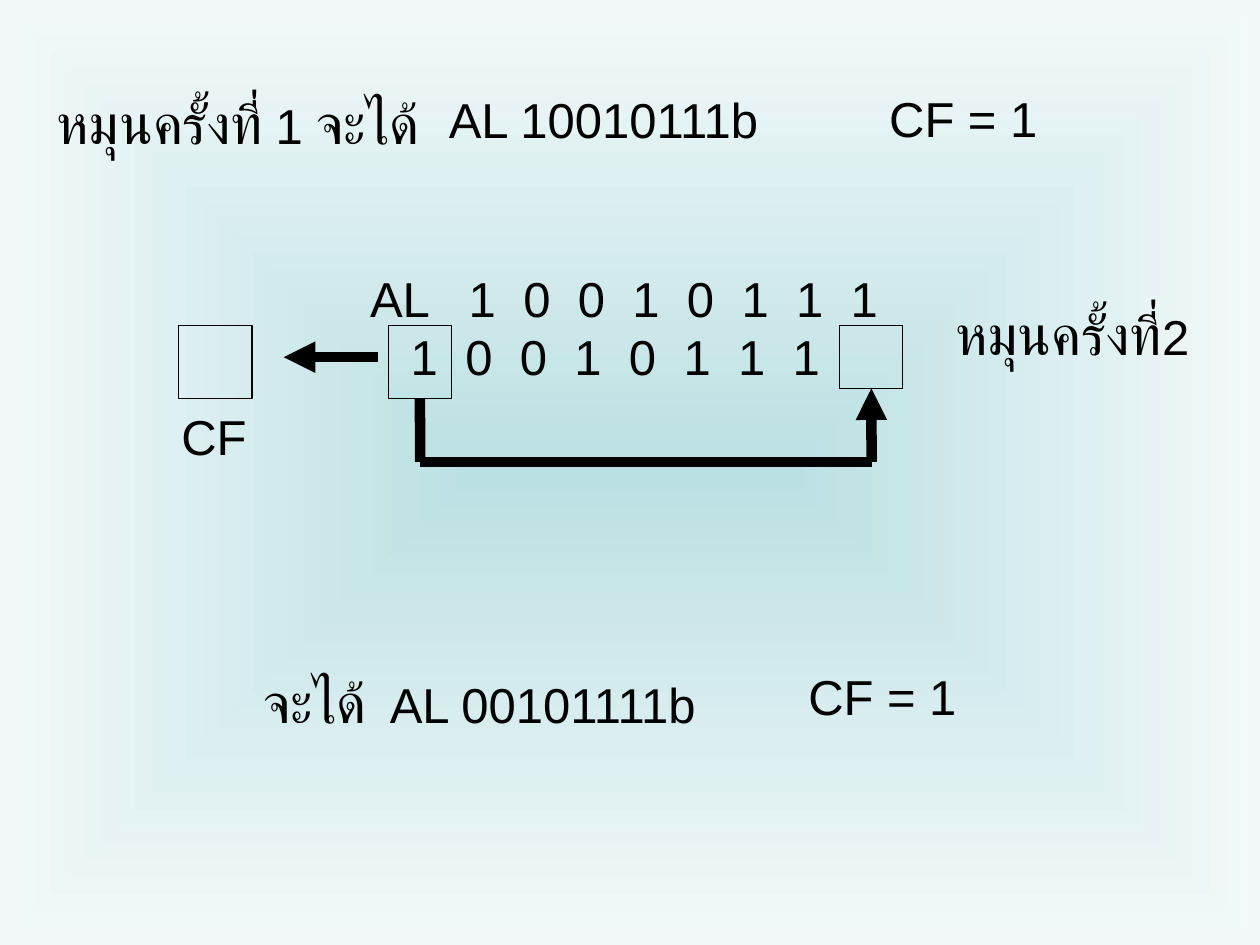
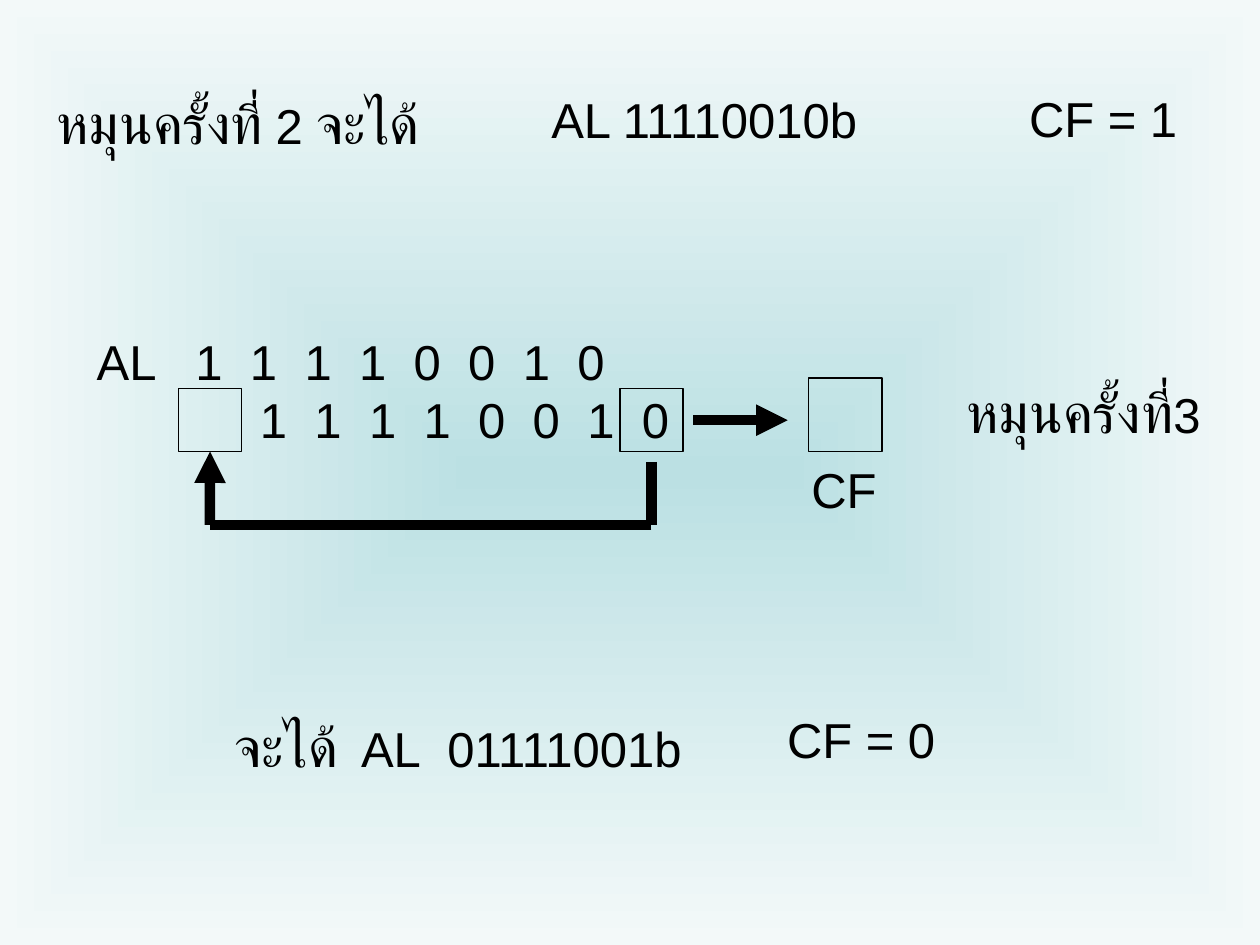
from lxml import etree
from pptx import Presentation
from pptx import util as u
from pptx.dml.color import RGBColor
from pptx.enum import shapes, text
from pptx.oxml import ns

INK = RGBColor(0x00, 0x00, 0x00)
GLOW = RGBColor(0xBB, 0xE0, 0xE3)
EDGE = RGBColor(0xF3, 0xF9, 0xF9)
FONT = "Arial"
LATIN_SIZE, THAI_SIZE = 28, 32
BIT_PITCH = 1.1
FIRST_BIT = 1.99
BIT_BOX = 1.27
CF_BOX = 1.48
TURN, GIVES = "หมุนครั้งที่", "จะได้"


def paint_background(slide):
    fill = slide.background.fill
    fill.gradient()
    for stop, colour, position in zip(fill.gradient_stops, (GLOW, EDGE), (0, 1)):
        stop.color.rgb = colour
        stop.position = position
    gradient = slide.element.find(".//" + ns.qn("a:gradFill"))
    gradient.remove(gradient.find(ns.qn("a:lin")))
    path = etree.SubElement(gradient, ns.qn("a:path"), path="rect")
    etree.SubElement(path, ns.qn("a:fillToRect"), l="50000", t="50000", r="50000", b="50000")


def add_words(slide, x, y, width, height, lines, centred=False, tabs=()):
    frame = slide.shapes.add_textbox(u.Cm(x), u.Cm(y), u.Cm(width), u.Cm(height)).text_frame
    frame.word_wrap = bool(tabs)
    for index, pieces in enumerate(lines):
        line = frame.add_paragraph() if index else frame.paragraphs[0]
        line.alignment = text.PP_ALIGN.CENTER if centred else text.PP_ALIGN.LEFT
        if tabs:
            stops = etree.SubElement(line._p.get_or_add_pPr(), ns.qn("a:tabLst"))
            for position in tabs[index]:
                etree.SubElement(stops, ns.qn("a:tab"), pos=str(u.Cm(position)), algn="l")
        for piece in pieces:
            run = line.add_run()
            run.text = piece
            run.font.name = FONT
            run.font.size = u.Pt(THAI_SIZE if piece in (TURN, GIVES) else LATIN_SIZE)
            run.font.color.rgb = INK


def add_cell(slide, x, y, width, height):
    cell = slide.shapes.add_shape(
        shapes.MSO_SHAPE.RECTANGLE, u.Cm(x), u.Cm(y), u.Cm(width), u.Cm(height))
    cell.shadow.inherit = False
    cell.fill.background()
    cell.line.color.rgb = INK
    cell.line.width = u.Pt(0.75)
    return cell


def add_line(slide, start, end, arrow=False):
    line = slide.shapes.add_connector(
        shapes.MSO_CONNECTOR.STRAIGHT, *(u.Cm(value) for value in (*start, *end)))
    line.line.color.rgb = INK
    line.line.width = u.Pt(6)
    if arrow:
        etree.SubElement(line.line._get_or_add_ln(), ns.qn("a:tailEnd"), type="triangle")
    etree.SubElement(line._element.spPr, ns.qn("a:effectLst"))
    return line


def add_bits(slide, x, y, before, after, after_start):
    tabs = [[start + BIT_PITCH * i for i in range(8)] for start in (FIRST_BIT, after_start)]
    rows = [["AL\t" + "\t".join(before)], ["\t" + "\t".join(after)]]
    add_words(slide, x, y, 13.2, 2.64, rows, tabs=tabs)


def add_carry_flag(slide, x, y):
    add_cell(slide, x, y, CF_BOX, CF_BOX)
    add_words(slide, x - 0.3, y + 1.52, 2.03, 1.45, [["CF"]], centred=True)


def add_loop(slide, out_x, out_y, in_x, in_y, floor):
    leaving = add_line(slide, (out_x, out_y), (out_x, floor))
    add_line(slide, (out_x, floor), (in_x, floor))
    entering = add_line(slide, (in_x, floor), (in_x, in_y), arrow=True)
    return leaving, entering


def add_header(slide, turn, register, register_x, carry, carry_x):
    add_words(slide, 0.89, 1.67, 8.4, 1.63, [[TURN, f" {turn} ", GIVES]])
    add_words(slide, register_x, 1.67, 7.19, 1.45, [[" AL " + register]], centred=True)
    add_carry_value(slide, carry_x, 1.65, carry)


def add_carry_value(slide, x, y, carry):
    add_words(slide, x, y, 4, 1.45, [[f"CF = {carry}"]], centred=True)


def add_turn_label(slide, x, y, turn):
    add_words(slide, x, y, 5.63, 1.63, [[TURN, str(turn)]], centred=True)


def add_result(slide, x, y, register):
    add_words(slide, x, y, 9.6, 1.63, [[GIVES, "\t" + register]], tabs=[[2.55, 4.29]])


def build_left_turn(slide):
    add_header(slide, 1, "10010111b", 8.46, 1, 17.42)
    add_bits(slide, 7.21, 5.28, "10010111", "10010111", 0.82)
    entry = add_cell(slide, 16.93, 6.56, BIT_BOX, BIT_BOX)
    leaver = add_cell(slide, 7.83, 6.56, BIT_BOX, CF_BOX)
    add_line(slide, (7.62, 7.2), (5.72, 7.2), arrow=True)
    add_carry_flag(slide, 3.6, 6.56)
    leaving, entering = add_loop(slide, 8.47, 8.04, 17.57, 7.83, 9.31)
    leaving.begin_connect(leaver, 2)
    entering.end_connect(entry, 2)
    add_turn_label(slide, 18.8, 5.92, 2)
    add_result(slide, 5.06, 13.34, "AL 00101111b")
    add_carry_value(slide, 15.79, 13.31, 1)


def build_right_turn(slide):
    add_header(slide, 2, "11110010b", 10.49, 1, 20.24)
    add_bits(slide, 1.7, 6.55, "11110010", "11110010", 3.29)
    add_cell(slide, 12.5, 7.83, BIT_BOX, BIT_BOX)
    entry = add_cell(slide, 3.6, 7.83, BIT_BOX, BIT_BOX)
    add_line(slide, (13.97, 8.47), (15.88, 8.47), arrow=True)
    add_carry_flag(slide, 16.3, 7.62)
    entering = add_loop(slide, 13.13, 9.31, 4.23, 9.1, 10.58)[1]
    entering.end_connect(entry, 2)
    add_turn_label(slide, 19.03, 7.49, 3)
    add_result(slide, 4.48, 14.22, "AL\t01111001b")
    add_carry_value(slide, 15.36, 14.17, 0)


def main():
    deck = Presentation()
    deck.slide_width, deck.slide_height = u.Cm(25.4), u.Cm(19.05)
    for build in (build_left_turn, build_right_turn):
        slide = deck.slides.add_slide(deck.slide_layouts[6])
        paint_background(slide)
        build(slide)
    deck.save("out.pptx")


if __name__ == "__main__":
    main()
